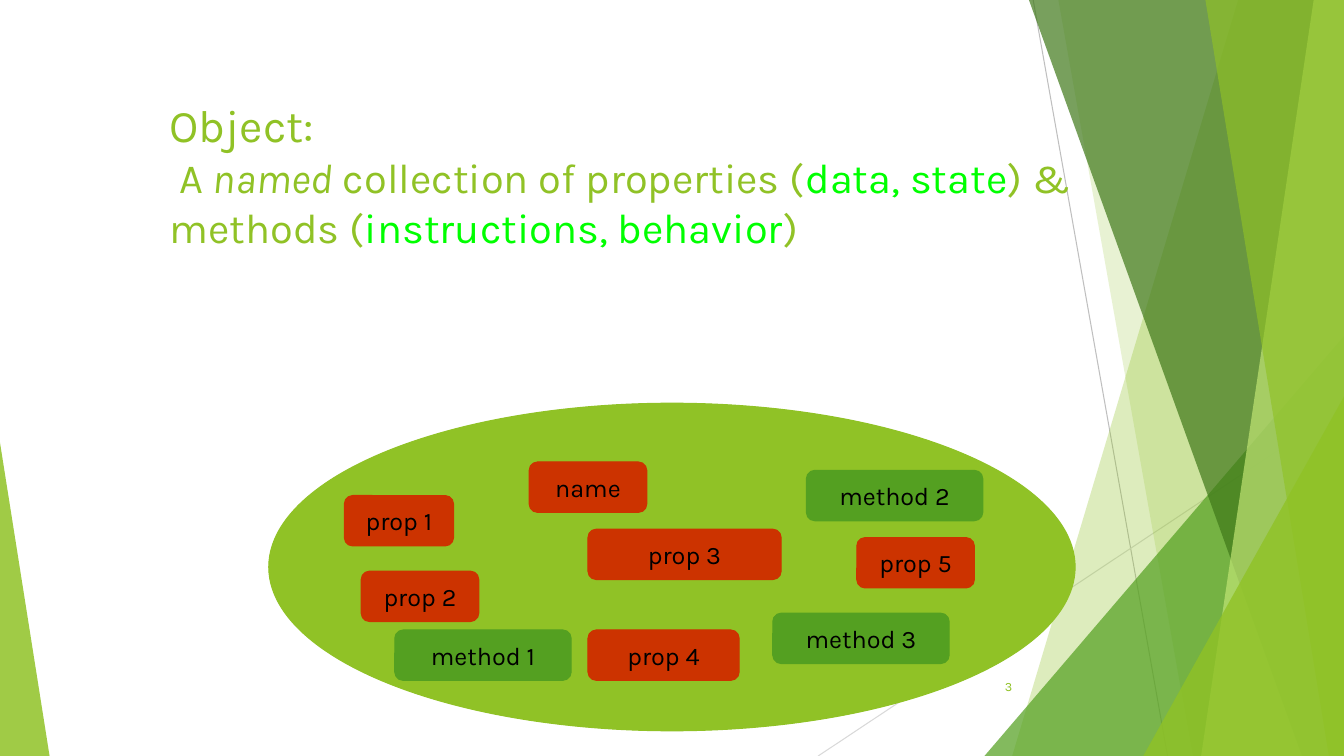
"""Build the slide that defines an object as properties and methods."""
from lxml.etree import SubElement
from pptx import Presentation
from pptx.dml.color import RGBColor
from pptx.enum.shapes import MSO_CONNECTOR, MSO_SHAPE
from pptx.enum.text import MSO_ANCHOR, PP_ALIGN
from pptx.oxml.ns import qn
from pptx.util import Inches, Pt

LIME, GREEN, RED, NEON = "90C226", "54A021", "CC3300", "00FF00"
COLS, ROWS = 160, 90

deck = Presentation()
deck.slide_width, deck.slide_height = Inches(COLS / 12), Inches(ROWS / 12)
unit = deck.slide_width / COLS
shapes = deck.slides.add_slide(deck.slide_layouts[6]).shapes


def paint(fill, hue, alpha=100):
    fill.solid()
    fill.fore_color.rgb = RGBColor.from_string(hue)
    if alpha < 100:
        tint = fill._xPr.find(qn("a:solidFill"))[0]
        SubElement(tint, qn("a:alpha"), val=str(alpha * 1000))


def write(frame, text, size=18, hue="000000", italic=False,
          align=PP_ALIGN.LEFT, anchor=MSO_ANCHOR.MIDDLE, wrap=True):
    frame.word_wrap, frame.vertical_anchor = wrap, anchor
    para = frame.paragraphs[0]
    para.alignment = align
    run = para.add_run()
    run.text = text
    run.font.name, run.font.size, run.font.italic = "Karla", Pt(size), italic
    paint(run.font.fill, hue)


rays = [("BFBFBF", 123, 0, 139, 90), ("D9D9D9", 160, 48.4, 97.4, 90)]
for hue, *ends in rays:
    ray = shapes.add_connector(MSO_CONNECTOR.STRAIGHT, *[int(n * unit) for n in ends])
    paint(ray.line.fill, hue)
    ray.line.width = Pt(0.75)
    SubElement(ray._element.spPr, qn("a:effectLst"))

# fmt = None
panes = [
    (LIME, 30, 147.4, 120.5), (LIME, 20, 126, 142),
    (GREEN, 72, 117.2, 40, 42.8, 1),
    ("3F7819", 70, 122.5, 155), ("C0E474", 70, 156.4, 143), (LIME, 65, 143.5, 158.2),
    (LIME, 80, 136.1, 47.2, 23.9, 1), (LIME, 85, 0, 52.7, 5.9, 0),
]
for hue, alpha, left, low, *wedge in panes:
    if wedge:
        width, apex = wedge
        pane = shapes.add_shape(MSO_SHAPE.ISOSCELES_TRIANGLE, int(left * unit), int(low * unit),
                                int(width * unit), int((ROWS - low) * unit))
        pane.adjustments[0] = apex
    else:
        path = shapes.build_freeform(left * unit, 0, scale=1.0)
        path.add_line_segments([(x * unit, y * unit) for x, y in
                                [(COLS, 0), (COLS, ROWS), (low, ROWS)]])
        pane = path.convert_to_shape()
    paint(pane.fill, hue, alpha)
    pane.line.fill.background()
    pane.shadow.inherit = False

title = shapes.add_textbox(*[int(n * unit) for n in (19, 11, 120, 15)]).text_frame
parts = [
    ("Object:", 32.4, LIME, False), (" ", 28.8, LIME, False), ("A ", 29.7, LIME, False),
    ("named", 29.7, LIME, True), (" collection of properties (", 29.7, LIME, False),
    ("data, state", 29.7, NEON, False), (") & methods (", 29.7, LIME, False),
    ("instructions, behavior", 29.7, NEON, False), (")", 29.7, LIME, False),
]
for text, size, hue, italic in parts:
    write(title, text, size=size, hue=hue, italic=italic, anchor=MSO_ANCHOR.TOP)
    if text == "Object:":
        title.paragraphs[0].add_line_break()

page = shapes.add_textbox(*[int(n * unit) for n in (112.7, 79.3, 9, 4.8)])
write(page.text_frame, "3", size=9, hue=LIME, align=PP_ALIGN.RIGHT)

members = [
    ("", LIME, 32, 48, 96, 39),
    ("prop 1", RED, 41, 59, 13, 6), ("prop 2", RED, 43, 68, 14, 6),
    ("prop 5", RED, 102, 64, 14, 6), ("name", RED, 63, 55, 14, 6),
    ("prop 3", RED, 70, 63, 23, 6), ("prop 4", RED, 70, 75, 18, 6),
    ("method 3", GREEN, 92, 73, 21, 6), ("method 1", GREEN, 47, 75, 21, 6),
    ("method 2", GREEN, 96, 56, 21, 6),
]
for text, hue, *box in members:
    kind = MSO_SHAPE.ROUNDED_RECTANGLE if text else MSO_SHAPE.OVAL
    item = shapes.add_shape(kind, *[int(n * unit) for n in box])
    paint(item.fill, hue)
    paint(item.line.fill, hue)
    item.line.width = Pt(0.75)
    item.shadow.inherit = False
    if text:
        write(item.text_frame, text, align=PP_ALIGN.CENTER, wrap=False)

deck.save("out.pptx")
